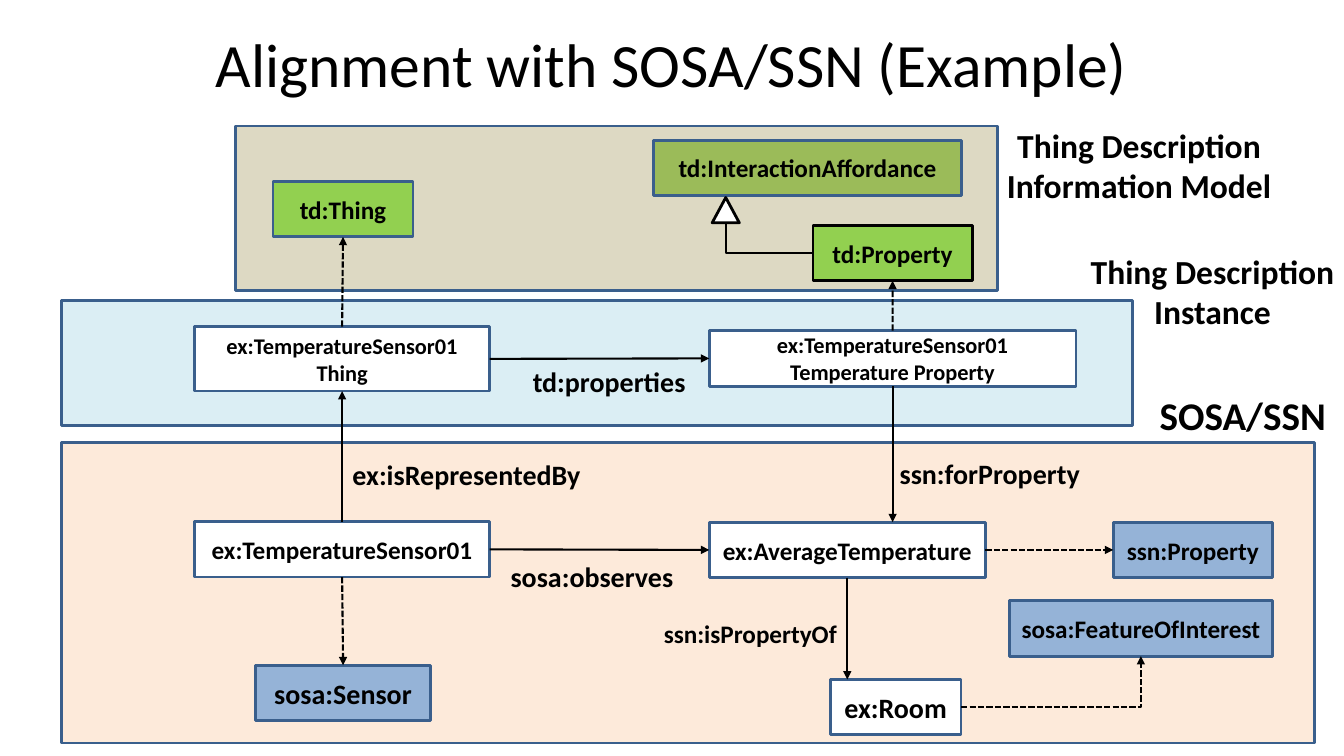
"""Build the slide on aligning Thing Descriptions with SOSA/SSN."""
from lxml.etree import SubElement
from pptx import Presentation
from pptx.dml.color import RGBColor
from pptx.enum.dml import MSO_LINE
from pptx.enum.shapes import MSO_CONNECTOR, MSO_SHAPE
from pptx.enum.text import MSO_ANCHOR, MSO_AUTO_SIZE, PP_ALIGN
from pptx.oxml.ns import qn
from pptx.util import Pt

TITLE = "Alignment with SOSA/SSN (Example)"
FONT = "Calibri"
BLACK, WHITE, BLUE = "000000", "FFFFFF", "3A5F8C"
GREEN, OLIVE, SKY = "92D050", "9BBB59", "95B3D7"
TOP, LEFT, BOTTOM, RIGHT = range(4)
NODE_HEIGHT = 39.6

PANELS = [
    (168.5, 90, 544.3, 117.4, "DDD9C3"),
    (43.9, 214.6, 765.4, 89.3, "DBEEF4"),
    (43.9, 316.1, 895.7, 214.6, "FDEADA"),
]

NODES = {
    "thing": ("td:Thing", 195.1, 129.6, 100.1, NODE_HEIGHT, GREEN, BLUE, 18),
    "affordance": ("td:InteractionAffordance", 467.3, 100.1, 219.6, NODE_HEIGHT, OLIVE, BLUE, 18),
    "td property": ("td:Property", 581, 160.9, 113.8, NODE_HEIGHT, GREEN, BLACK, 18),
    "ssn property": ("ssn:Property", 795.6, 373, 113.8, NODE_HEIGHT, SKY, BLUE, 18),
    "feature": ("sosa:FeatureOfInterest", 721.4, 429.1, 187.9, NODE_HEIGHT, SKY, BLUE, 18),
    "sensor01": ("ex:TemperatureSensor01", 139, 372.6, 211, NODE_HEIGHT, WHITE, BLUE, 18),
    "sensor01 thing": ("ex:TemperatureSensor01\vThing", 139, 233.3, 211, 46.1, WHITE, BLUE, 16),
    "sensor01 property": ("ex:TemperatureSensor01\vTemperature Property",
                          506.9, 236.2, 262.1, NODE_HEIGHT, WHITE, BLUE, 16),
    "average": ("ex:AverageTemperature", 506.9, 373, 197.3, NODE_HEIGHT, WHITE, BLUE, 18),
    "room": ("ex:Room", 593.3, 485.3, 93.6, NODE_HEIGHT, WHITE, BLUE, 20),
    "sensor": ("sosa:Sensor", 182.9, 475.2, 124.6, NODE_HEIGHT, SKY, BLUE, 20),
}
INHERITANCE_TIP = (509, 141.1, 19.4, 18)

TYPE_LINKS = [
    ("sensor01 property", TOP, "td property", BOTTOM),
    ("sensor01 thing", TOP, "thing", BOTTOM),
    ("sensor01", BOTTOM, "sensor", TOP),
    ("average", RIGHT, "ssn property", LEFT),
]
RELATIONS = [
    ("sensor01 thing", RIGHT, "sensor01 property", LEFT),
    ("sensor01", RIGHT, "average", LEFT),
    ("sensor01", TOP, "sensor01 thing", BOTTOM),
]
DROPS = [("sensor01 property", "average"), ("average", "room")]

LABELS = [
    ("td:properties", 373.7, 257, 124.6, 31.7, 20, PP_ALIGN.LEFT),
    ("sosa:observes", 357.8, 396, 131.5, 31.7, 20, PP_ALIGN.LEFT),
    ("ex:isRepresentedBy", 244.8, 323.3, 179.3, 31.7, 20, PP_ALIGN.LEFT),
    ("ssn:forProperty", 635.8, 322.6, 144.7, 31.7, 20, PP_ALIGN.LEFT),
    ("ssn:isPropertyOf", 467.3, 437.8, 139, 28.8, 18, PP_ALIGN.LEFT),
    ("Thing Description\vInformation Model", 711.4, 85.7, 205.2, 65.5, 24, PP_ALIGN.CENTER),
    ("Thing Description\nInstance", 771.1, 175.7, 190.8, 65.5, 24, PP_ALIGN.CENTER),
    ("SOSA/SSN", 820.8, 275.8, 134.6, 41, 28, PP_ALIGN.CENTER),
]


def rgb(code):
    return RGBColor.from_string(code)


def write(frame, text, size, align, bold=True):
    frame.text = text
    for paragraph in frame.paragraphs:
        paragraph.alignment = align
        font = paragraph.font
        font.name, font.size, font.bold = FONT, Pt(size), bold
        font.color.rgb = rgb(BLACK)


def add_block(kind, box, fill, outline):
    block = slide.shapes.add_shape(kind, *map(Pt, box))
    block.shadow.inherit = False
    block.fill.solid()
    block.fill.fore_color.rgb = rgb(fill)
    block.line.color.rgb = rgb(outline)
    block.line.width = Pt(2)
    return block


def side_point(node, side):
    middle, centre = node.left + node.width // 2, node.top + node.height // 2
    return {TOP: (middle, node.top), LEFT: (node.left, centre),
            BOTTOM: (middle, node.top + node.height),
            RIGHT: (node.left + node.width, centre)}[side]


def add_link(source, side, target=None, target_side=None, point=None,
             dashed=False, bent=False, arrow=True):
    kind = MSO_CONNECTOR.ELBOW if bent else MSO_CONNECTOR.STRAIGHT
    end = point or side_point(target, target_side)
    link = slide.shapes.add_connector(kind, *side_point(source, side), *end)
    link.begin_connect(source, side)
    if target is not None:
        link.end_connect(target, target_side)
    link.line.color.rgb = rgb(BLACK)
    link.line.width = Pt(1.5)
    if dashed:
        link.line.dash_style = MSO_LINE.SQUARE_DOT
    properties = link._element.spPr
    if bent:
        properties.find(qn("a:prstGeom")).set("prst", "bentConnector2")
    if arrow:
        SubElement(properties.find(qn("a:ln")), qn("a:tailEnd"), type="triangle")
    SubElement(properties, qn("a:effectLst"))


deck = Presentation()
deck.slide_width, deck.slide_height = Pt(960.48), Pt(540)
slide = deck.slides.add_slide(deck.slide_layouts[5])

title = slide.shapes.title
title.left, title.top, title.width, title.height = 0, 0, deck.slide_width, Pt(90)
title.text_frame.vertical_anchor = MSO_ANCHOR.MIDDLE
write(title.text_frame, TITLE, 44, PP_ALIGN.CENTER, bold=False)

for *box, fill in PANELS:
    add_block(MSO_SHAPE.RECTANGLE, box, fill, BLUE)

nodes = {}
for name, (text, *box, fill, outline, size) in NODES.items():
    nodes[name] = add_block(MSO_SHAPE.RECTANGLE, box, fill, outline)
    nodes[name].text_frame.vertical_anchor = MSO_ANCHOR.MIDDLE
    write(nodes[name].text_frame, text, size, PP_ALIGN.CENTER)
tip = add_block(MSO_SHAPE.ISOSCELES_TRIANGLE, INHERITANCE_TIP, WHITE, BLACK)

for links, dashed in ((TYPE_LINKS, True), (RELATIONS, False)):
    for source, side, target, target_side in links:
        add_link(nodes[source], side, nodes[target], target_side, dashed=dashed)
for source, target in DROPS:
    middle, _ = side_point(nodes[source], BOTTOM)
    add_link(nodes[source], BOTTOM, point=(middle, nodes[target].top))
add_link(nodes["room"], RIGHT, nodes["feature"], BOTTOM, dashed=True, bent=True)
add_link(nodes["td property"], LEFT, point=side_point(tip, BOTTOM), bent=True, arrow=False)

for text, *box, size, align in LABELS:
    label = slide.shapes.add_textbox(*map(Pt, box)).text_frame
    label.word_wrap = False
    label.auto_size = MSO_AUTO_SIZE.SHAPE_TO_FIT_TEXT
    write(label, text, size, align)

deck.save("out.pptx")
